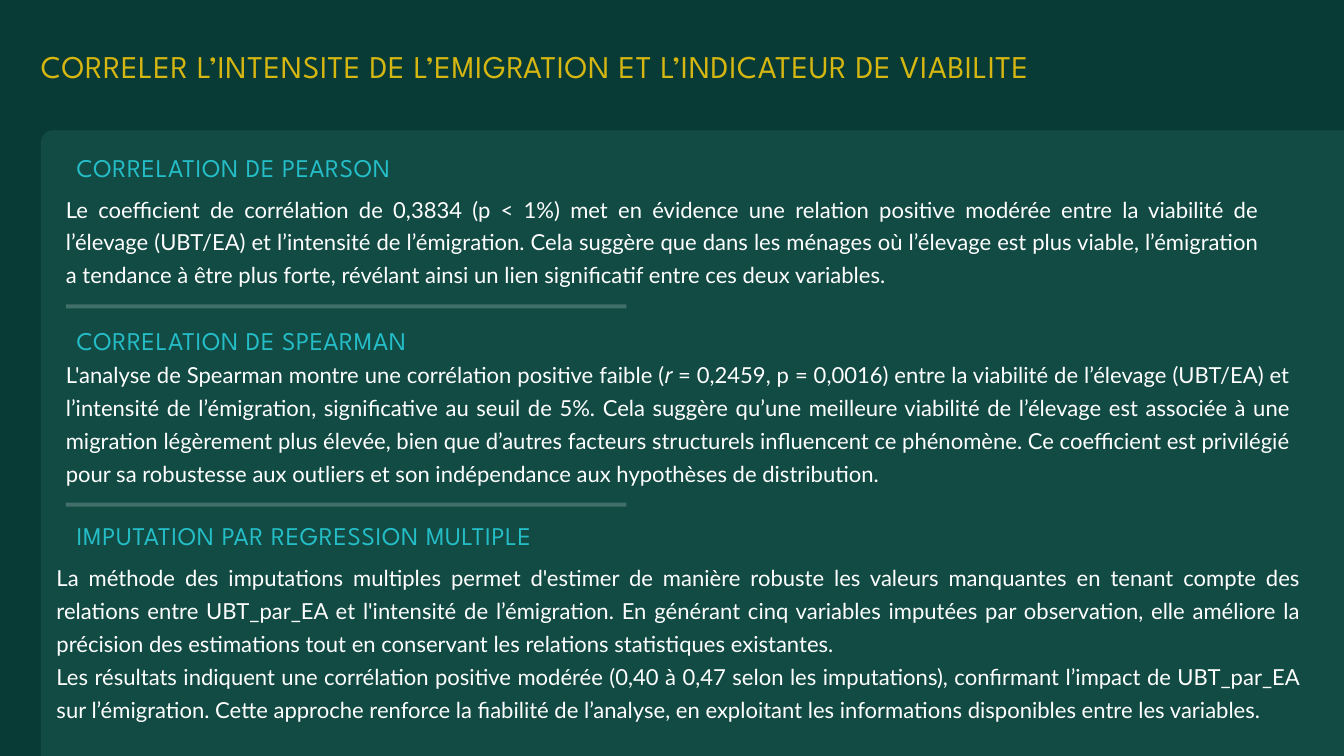
from lxml.etree import SubElement
from pptx import Presentation
from pptx.dml.color import RGBColor
from pptx.enum.shapes import MSO_SHAPE
from pptx.enum.text import PP_ALIGN
from pptx.oxml.ns import qn
from pptx.util import Inches, Pt

BACKGROUND = RGBColor(0x08, 0x3B, 0x35)
PANEL = RGBColor(0x12, 0x4B, 0x44)
GOLD = RGBColor(0xD6, 0xB6, 0x11)
TURQUOISE = RGBColor(0x25, 0xBE, 0xC8)
WHITE = RGBColor(0xFF, 0xFF, 0xFF)

TITLE = "CORRELER L’INTENSITE DE L’EMIGRATION ET L’INDICATEUR DE VIABILITE"

# Boxes are (left, top, width, height) in inches.
SECTIONS = [
    {
        "heading": "CORRELATION DE PEARSON",
        "heading_box": (1.14, 2.22, 8.32, 0.48),
        "body_box": (0.98, 2.82, 17.75, 1.46),
        "body": [
            "Le coefficient de corrélation de 0,3834 (p < 1%) met en évidence une relation "
            "positive modérée entre la viabilité de l’élevage (UBT/EA) et l’intensité de "
            "l’émigration. Cela suggère que dans les ménages où l’élevage est plus viable, "
            "l’émigration a tendance à être plus forte, révélant ainsi un lien significatif "
            "entre ces deux variables.",
        ],
    },
    {
        "heading": "CORRELATION DE SPEARMAN",
        "heading_box": (1.14, 4.8, 8.32, 0.48),
        "body_box": (0.98, 5.28, 18.22, 1.95),
        "body": [
            "L'analyse de Spearman montre une corrélation positive faible (𝑟 = 0,2459, "
            "p = 0,0016) entre la viabilité de l’élevage (UBT/EA) et l’intensité de "
            "l’émigration, significative au seuil de 5%. Cela suggère qu’une meilleure "
            "viabilité de l’élevage est associée à une migration légèrement plus élevée, "
            "bien que d’autres facteurs structurels influencent ce phénomène. Ce coefficient "
            "est privilégié pour sa robustesse aux outliers et son indépendance aux "
            "hypothèses de distribution.",
        ],
    },
    {
        "heading": "IMPUTATION PAR REGRESSION MULTIPLE",
        "heading_box": (1.14, 7.7, 9.67, 0.48),
        "body_box": (0.84, 8.3, 18.51, 2.93),
        "body": [
            "La méthode des imputations multiples permet d'estimer de manière robuste les "
            "valeurs manquantes en tenant compte des relations entre UBT_par_EA et "
            "l'intensité de l’émigration. En générant cinq variables imputées par "
            "observation, elle améliore la précision des estimations tout en conservant les "
            "relations statistiques existantes.",
            "Les résultats indiquent une corrélation positive modérée (0,40 à 0,47 selon les "
            "imputations), confirmant l’impact de UBT_par_EA sur l’émigration. Cette approche "
            "renforce la fiabilité de l’analyse, en exploitant les informations disponibles "
            "entre les variables.",
        ],
    },
]
DIVIDER_TOPS = [4.53, 7.48]

TITLE_STYLE = dict(font="League Spartan", size=33.9, color=GOLD, leading=40.7, tracking=0.7)
HEADING_STYLE = dict(font="League Spartan", size=27.3, color=TURQUOISE, leading=35.5, tracking=0.8)
BODY_STYLE = dict(font="Lato", size=23.6, color=WHITE, leading=35.3, align=PP_ALIGN.JUSTIFY)


def add_text(slide, box, paragraphs, font, size, color, leading, tracking=0, align=PP_ALIGN.LEFT):
    frame = slide.shapes.add_textbox(*map(Inches, box)).text_frame
    frame.word_wrap = True
    frame.margin_left = frame.margin_top = frame.margin_right = frame.margin_bottom = 0
    frame.text = "\n".join(paragraphs)
    for paragraph in frame.paragraphs:
        paragraph.alignment = align
        paragraph.line_spacing = Pt(leading)
        for run in paragraph.runs:
            run.font.name = font
            run.font.size = Pt(size)
            run.font.color.rgb = color
            if tracking:
                run.font._element.set("spc", str(round(tracking * 100)))


def add_filled(slide, preset, box, color):
    shape = slide.shapes.add_shape(preset, *map(Inches, box))
    shape.shadow.inherit = False
    shape.fill.solid()
    shape.fill.fore_color.rgb = color
    shape.line.fill.background()
    return shape


def set_opacity(shape, percent):
    color = shape._element.spPr.find(qn("a:solidFill"))[0]
    SubElement(color, qn("a:alpha")).set("val", str(percent * 1000))


def main():
    presentation = Presentation()
    presentation.slide_width = Inches(20)
    presentation.slide_height = Inches(11.25)
    slide = presentation.slides.add_slide(presentation.slide_layouts[6])
    slide.background.fill.solid()
    slide.background.fill.fore_color.rgb = BACKGROUND

    add_text(slide, (0.61, 0.7, 18.73, 0.56), [TITLE], **TITLE_STYLE)

    panel = add_filled(slide, MSO_SHAPE.ROUNDED_RECTANGLE, (0.61, 1.94, 20.18, 10.57), PANEL)
    panel.adjustments[0] = 0.18 / 10.57

    for top in DIVIDER_TOPS:
        divider = add_filled(slide, MSO_SHAPE.RECTANGLE, (0.98, top, 8.34, 0.06), WHITE)
        set_opacity(divider, 20)

    for section in SECTIONS:
        add_text(slide, section["heading_box"], [section["heading"]], **HEADING_STYLE)
        add_text(slide, section["body_box"], section["body"], **BODY_STYLE)

    presentation.save("out.pptx")


if __name__ == "__main__":
    main()
